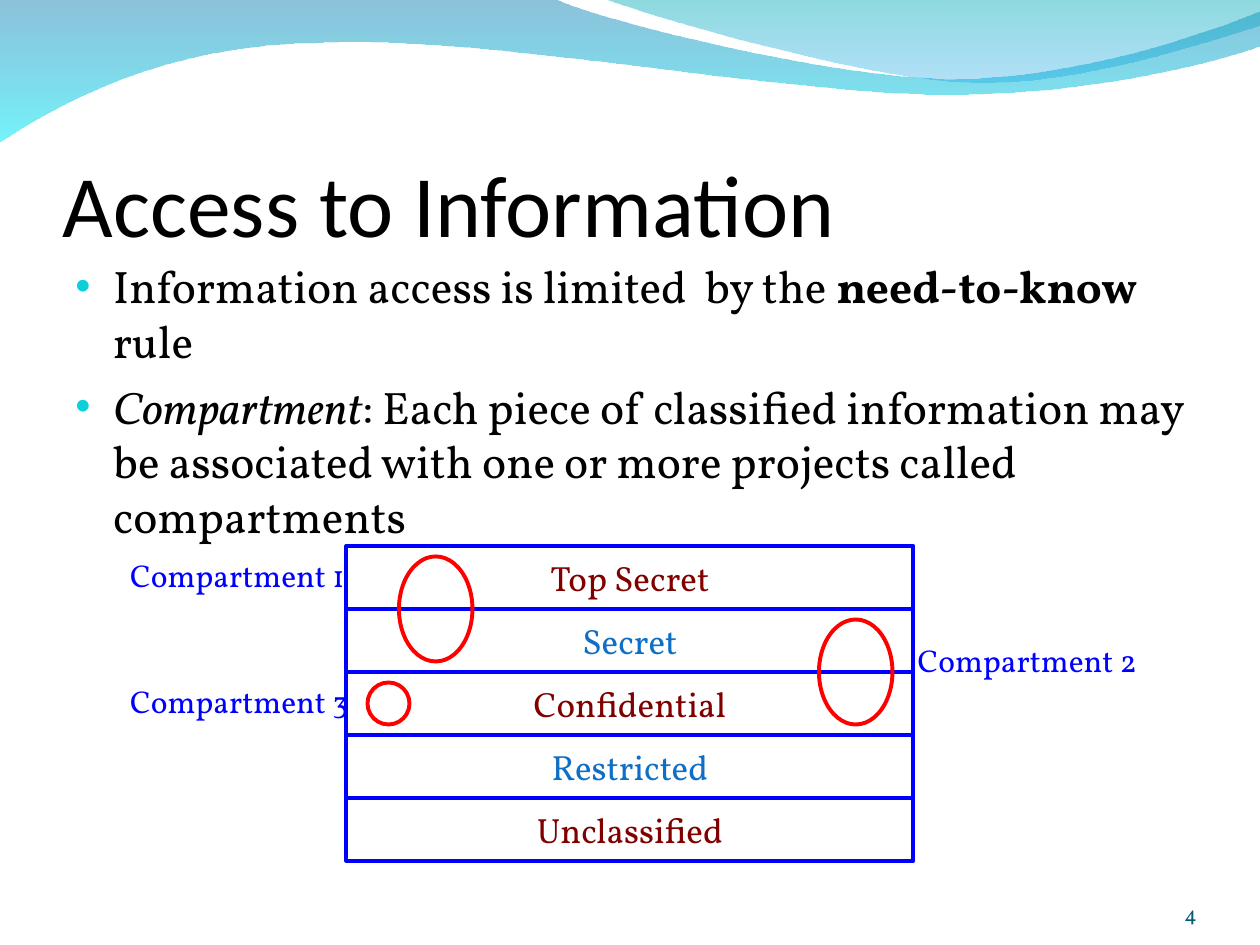
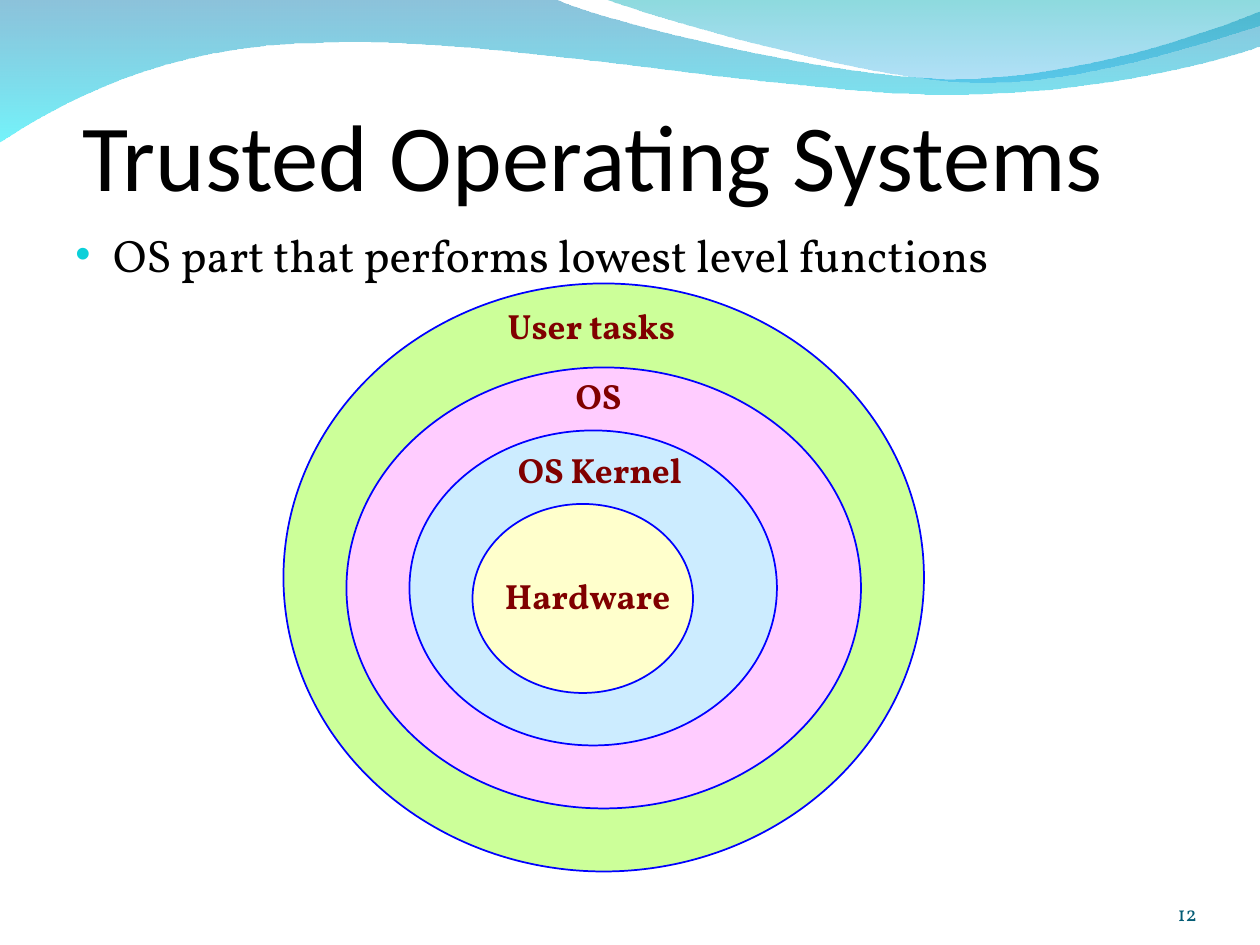
from lxml.etree import SubElement
from pptx import Presentation
from pptx.dml.color import RGBColor
from pptx.enum.shapes import MSO_SHAPE as Preset
from pptx.enum.text import MSO_ANCHOR as Anchor, MSO_AUTO_SIZE as AutoSize, PP_ALIGN as Align
from pptx.oxml.ns import qn
from pptx.util import Pt

BLACK = RGBColor(0x00, 0x00, 0x00)
BLUE = RGBColor(0x00, 0x00, 0xFF)
RED = RGBColor(0xFF, 0x00, 0x00)
MAROON = RGBColor(0x80, 0x00, 0x00)
SKY = RGBColor(0x0F, 0x6F, 0xC6)
PAGE_TEAL = RGBColor(0x04, 0x5C, 0x75)
BULLET_CYAN = RGBColor(0x0B, 0xD0, 0xD9)
LIME = RGBColor(0xCC, 0xFF, 0x99)
PINK = RGBColor(0xFF, 0xCC, 0xFF)
PALE_BLUE = RGBColor(0xCC, 0xEC, 0xFF)
CREAM = RGBColor(0xFF, 0xFF, 0xCC)
WAVE_DEEP = RGBColor(0x00, 0x79, 0xAF)
WAVE_CYAN = RGBColor(0x00, 0xEB, 0xF8)
WAVE_TEAL = RGBColor(0x00, 0xAD, 0xB6)
WAVE_BLUE = RGBColor(0x00, 0x9B, 0xE5)

HEAD_FONT, BODY_FONT = "Calibri", "Vollkorn"

# Text styles, as font attributes
TITLE = dict(name=HEAD_FONT, size=Pt(50), color=BLACK)
BIG_TITLE = TITLE | dict(size=Pt(54))
BODY = dict(name=BODY_FONT, size=Pt(26), color=BLACK)
PAGE = dict(name=BODY_FONT, size=Pt(12), color=PAGE_TEAL)
LEVEL = dict(name=BODY_FONT, size=Pt(20))
COMPARTMENT = dict(name=BODY_FONT, size=Pt(18), color=BLUE)
RING = dict(name=BODY_FONT, size=Pt(20), color=MAROON, bold=True)

# Header waves: two numbers make a line, six a Bezier curve;
# then gradient stops from top to bottom as colour and opacity in percent
WAVES = [
    ([(0, -0.7), (317, -0.7), (343, 12, 478, 45, 546, 45), (614, 45, 690, 19, 720, 6.5),
      (721, 26), (708, 32, 626, 55, 537, 54), (448, 54, 275, 20, 185, 24.5),
      (93, 25, 33, 60, -0.7, 81.4)],
     [(WAVE_DEEP, 45), (WAVE_CYAN, 55)]),
    ([(345, -0.7), (367, 8, 491, 44.5, 554, 47), (616, 49.5, 692, 23, 720, 15), (720, 0)],
     [(WAVE_TEAL, 45), (WAVE_BLUE, 30)]),
]

# Access to Information: bullets are lists of (text, extra font attributes)
ACCESS_BULLETS = [
    [("Information access is limited  by the ", {}), ("need-to-know", {"bold": True}), (" rule", {})],
    [("Compartment", {"italic": True}),
     (": Each piece of classified information may be associated with one or more "
      "projects called compartments", {})],
]
LEVELS = ["Top Secret", "Secret", "Confidential", "Restricted", "Unclassified"]
LEVEL_LEFT, LEVEL_TOP, LEVEL_WIDTH, LEVEL_HEIGHT = 198, 312, 324, 36
COMPARTMENTS = [  # label, label position, ellipse box
    ("Compartment 1", (74.4, 318), (228, 318, 42, 60)),
    ("Compartment 2", (524.4, 366.2), (468, 354, 42, 60)),
    ("Compartment 3", (74.4, 390), (210, 390, 24, 24)),
]

# Trusted Operating Systems: label, label box, ring box, ring fill; outermost first
SYSTEM_BULLETS = [[("OS part that performs lowest level functions", {})]]
RINGS = [
    ("User tasks", (290, 174, 104, 24), (162, 162, 366, 336), LIME),
    ("OS", (329, 214, 27, 24), (198, 210, 294, 252), PINK),
    ("OS Kernel", (296, 256, 102, 24), (234, 246, 210, 180), PALE_BLUE),
    ("Hardware", (288.6, 328, 103, 24), (270, 288, 126, 108), CREAM),
]


def points(box):
    return [Pt(value) for value in box]


def add_run(paragraph, text, style):
    run = paragraph.add_run()
    run.text = text
    for key, value in style.items():
        if key == "color":
            run.font.color.rgb = value
        else:
            setattr(run.font, key, value)


def set_frame(frame, insets=(0, 0, 0, 0), **settings):
    sides = ("margin_left", "margin_top", "margin_right", "margin_bottom")
    for key, value in (dict(zip(sides, points(insets))) | settings).items():
        setattr(frame, key, value)


def add_text(slide, box, text, style, align=Align.LEFT, before=0, **settings):
    frame = slide.shapes.add_textbox(*points(box)).text_frame
    set_frame(frame, **settings)
    paragraph = frame.paragraphs[0]
    paragraph.alignment, paragraph.space_before = align, Pt(before)
    add_run(paragraph, text, style)


def add_label(slide, box, text, style):
    add_text(slide, box, text, style, before=4, word_wrap=False,
             auto_size=AutoSize.SHAPE_TO_FIT_TEXT)


def add_outline(slide, preset, box, line, weight, fill=None):
    shape = slide.shapes.add_shape(preset, *points(box))
    shape.shadow.inherit = False
    shape.line.color.rgb, shape.line.width = line, Pt(weight)
    if fill is None:
        shape.fill.background()
    else:
        shape.fill.solid()
        shape.fill.fore_color.rgb = fill
    return shape


def add_wave(slide, segments, stops):
    first, *rest = [points(segment[-2:]) for segment in segments]
    builder = slide.shapes.build_freeform(*first, scale=1.0)
    builder.add_line_segments(rest, close=True)
    wave = builder.convert_to_shape()
    # Bend the lines that have control points
    for line, segment in zip(list(wave.element.iter(qn("a:lnTo"))), segments[1:]):
        if len(segment) == 6:
            curve = line.makeelement(qn("a:cubicBezTo"))
            for x, y in zip(points(segment[::2]), points(segment[1::2])):
                SubElement(curve, qn("a:pt"), x=str(x - wave.left), y=str(y - wave.top))
            line.getparent().replace(line, curve)
    wave.shadow.inherit = False
    wave.line.fill.background()
    wave.fill.gradient()
    wave.fill.gradient_angle = 270
    for stop, position, (color, _) in zip(wave.fill.gradient_stops, (0, 1), stops):
        stop.color.rgb, stop.position = color, position
    for color, (_, opacity) in zip(wave.element.iter(qn("a:srgbClr")), stops):
        SubElement(color, qn("a:alpha"), val=str(opacity * 1000))


def add_bullets(slide, top, bullets):
    frame = slide.shapes.add_textbox(*points((36, top, 648, 498 - top))).text_frame
    set_frame(frame, (7.2, 3.6, 5, 3.6), word_wrap=True)
    for index, runs in enumerate(bullets):
        paragraph = frame.add_paragraph() if index else frame.paragraphs[0]
        paragraph.space_before = Pt(6.5)
        for text, extra in runs:
            add_run(paragraph, text, BODY | extra)
        # Hanging indent and coloured bullet
        props = paragraph._p.get_or_add_pPr()
        props.set("marL", str(Pt(21.6)))
        props.set("indent", str(-Pt(21.6)))
        SubElement(SubElement(props, qn("a:buClr")), qn("a:srgbClr"), val=str(BULLET_CYAN))
        SubElement(props, qn("a:buSzPct"), val="95000")
        SubElement(props, qn("a:buFont"), typeface="Arial")
        SubElement(props, qn("a:buChar"), char="•")


def add_slide(deck, title, title_style, title_top, title_inset, bullets, bullets_top, page):
    slide = deck.slides.add_slide(deck.slide_layouts[6])
    for segments, stops in WAVES:
        add_wave(slide, segments, stops)
    add_text(slide, (36, title_top, 648, 90), title, title_style, word_wrap=True,
             insets=(title_inset, 3.6, 0, 0), vertical_anchor=Anchor.BOTTOM)
    add_bullets(slide, bullets_top, bullets)
    add_text(slide, (624, 500.4, 60, 28.8), page, PAGE, align=Align.RIGHT,
             word_wrap=True, vertical_anchor=Anchor.BOTTOM)
    return slide


def build_access(deck):
    slide = add_slide(deck, "Access to Information", TITLE, 55.5, 0, ACCESS_BULLETS, 144, "4")
    # Stack of security levels in alternating colours
    for index, level in enumerate(LEVELS):
        box = (LEVEL_LEFT, LEVEL_TOP + index * LEVEL_HEIGHT, LEVEL_WIDTH, LEVEL_HEIGHT)
        frame = add_outline(slide, Preset.RECTANGLE, box, BLUE, 2.25).text_frame
        set_frame(frame, vertical_anchor=Anchor.MIDDLE)
        paragraph = frame.paragraphs[0]
        paragraph.alignment, paragraph.space_before = Align.CENTER, Pt(4)
        add_run(paragraph, level, LEVEL | {"color": SKY if index % 2 else MAROON})
    # Compartments across the levels
    for label, position, ellipse in COMPARTMENTS:
        add_outline(slide, Preset.OVAL, ellipse, RED, 2.25)
        add_label(slide, (*position, 134, 21.6), label, COMPARTMENT)


def build_systems(deck):
    slide = add_slide(deck, "Trusted Operating Systems", BIG_TITLE, 30, 11.3,
                      SYSTEM_BULLETS, 126, "12")
    for label, label_box, ring_box, fill in RINGS:
        add_outline(slide, Preset.OVAL, ring_box, BLUE, 1, fill)
        add_label(slide, label_box, label, RING)


def main():
    deck = Presentation()
    deck.slide_width, deck.slide_height = Pt(720), Pt(540)
    build_access(deck)
    build_systems(deck)
    deck.save("out.pptx")


if __name__ == "__main__":
    main()
